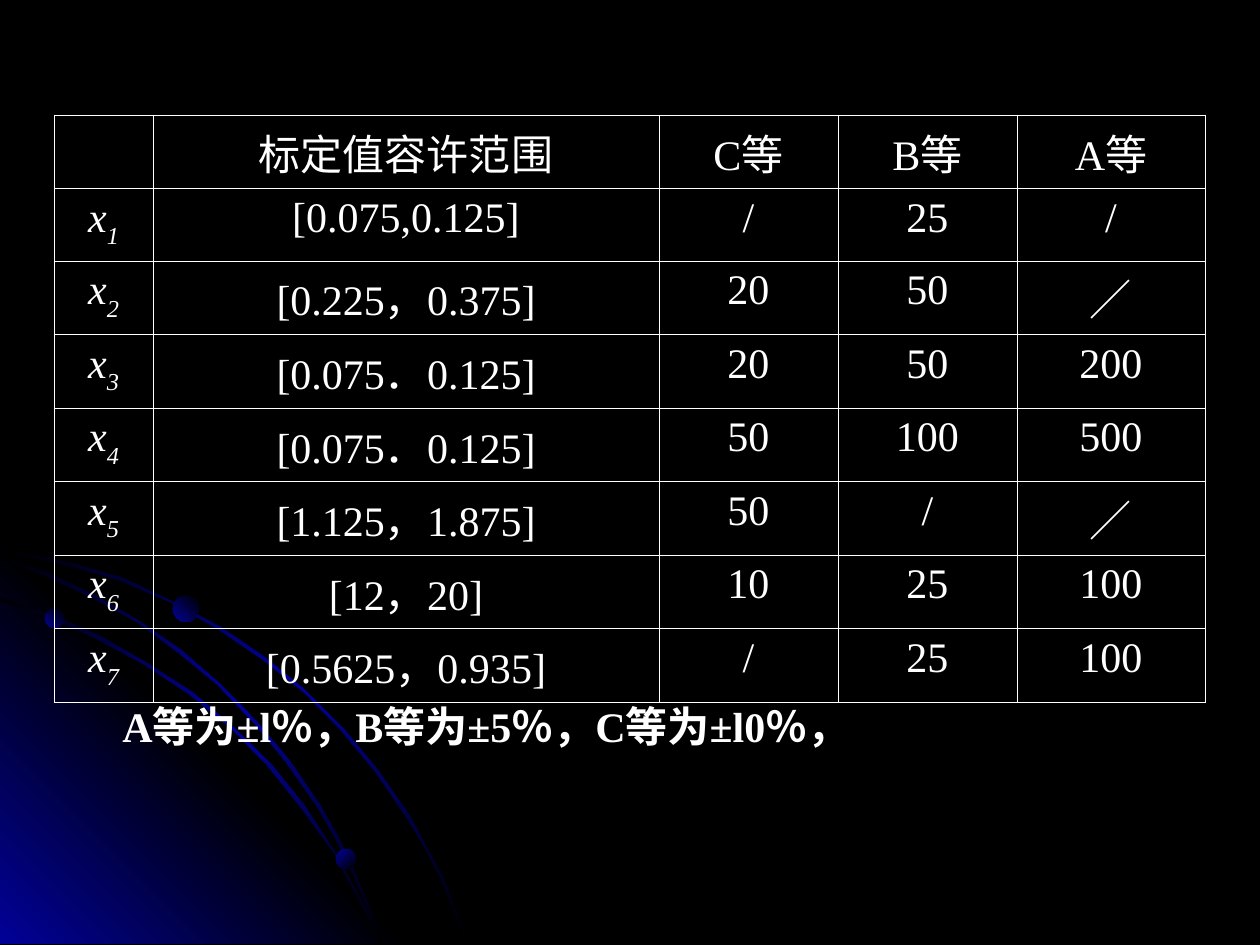
from dataclasses import dataclass

from lxml import etree
from pptx import Presentation
from pptx.dml.color import RGBColor
from pptx.enum.shapes import MSO_SHAPE
from pptx.enum.text import MSO_ANCHOR, MSO_AUTO_SIZE, PP_ALIGN
from pptx.oxml.ns import qn
from pptx.util import Emu, Pt

OVAL = MSO_SHAPE.OVAL
MIDDLE = MSO_ANCHOR.MIDDLE
FIT_SHAPE = MSO_AUTO_SIZE.SHAPE_TO_FIT_TEXT
LEFT, CENTER = PP_ALIGN.LEFT, PP_ALIGN.CENTER
EMU_PER_PX = 914400 / 126


@dataclass
class Theme:
    font: str = "Times New Roman"
    size: int = 24
    ink: str = "FFFFFF"
    dark: str = "000000"
    glow: str = "010199"
    border: float = 0.45


def px(length):
    return Emu(round(length * EMU_PER_PX))


class SlideBuilder:
    def __init__(self, slide, theme):
        self.slide = slide
        self.theme = theme

    def background(self):
        fill = self.slide.background.fill
        fill.solid()
        fill.fore_color.rgb = RGBColor.from_string(self.theme.dark)

    def gradient(self, shape, colors, angle):
        shape.shadow.inherit = False
        shape.line.fill.background()
        shape.fill.gradient()
        grad = shape.fill._xPr.find(qn("a:gradFill"))
        stops = grad.find(qn("a:gsLst"))
        for stop in list(stops):
            stops.remove(stop)
        for index, color in enumerate(colors):
            position = 100000 * index // (len(colors) - 1)
            stop = etree.SubElement(stops, qn("a:gs"), pos=str(position))
            etree.SubElement(stop, qn("a:srgbClr"), val=color)
        grad.find(qn("a:lin")).set("ang", str(angle * 60000))

    def outline(self, points, colors, angle):
        builder = self.slide.shapes.build_freeform(*points[0], scale=EMU_PER_PX)
        builder.add_line_segments(points[1:], close=True)
        self.gradient(builder.convert_to_shape(), colors, angle)

    def ball(self, left, top, size, angle):
        shape = self.slide.shapes.add_shape(OVAL, px(left), px(top), px(size), px(size))
        self.gradient(shape, (self.theme.glow, self.theme.dark), angle)

    def style(self, para, align, bold=False):
        para.alignment = align
        for span in para.runs:
            span.font.name = self.theme.font
            span.font.size = Pt(self.theme.size)
            span.font.bold = bold
            span.font.color.rgb = RGBColor.from_string(self.theme.ink)

    def cell_borders(self, cell):
        props = cell._tc.get_or_add_tcPr()
        for index, side in enumerate(("a:lnL", "a:lnR", "a:lnT", "a:lnB")):
            line = etree.Element(qn(side), w=str(Pt(self.theme.border)))
            fill = etree.SubElement(line, qn("a:solidFill"))
            etree.SubElement(fill, qn("a:srgbClr"), val=self.theme.ink)
            props.insert(index, line)

    def table(self, left, top, widths, heights, rows):
        frame = self.slide.shapes.add_table(
            len(rows), len(widths), px(left), px(top), px(sum(widths)), px(sum(heights)))
        table = frame.table
        table.first_row = table.horz_banding = False
        for column, width in zip(table.columns, widths):
            column.width = px(width)
        for row, height in zip(table.rows, heights):
            row.height = px(height)
        for row, texts in zip(table.rows, rows):
            for cell, text in zip(row.cells, texts):
                cell.fill.background()
                self.cell_borders(cell)
                cell.text_frame.text = text
                self.style(cell.text_frame.paragraphs[0], CENTER)
        return table

    def variable(self, cell, name, index):
        para = cell.text_frame.paragraphs[0]
        para.text = name
        para.add_run().text = str(index)
        self.style(para, CENTER)
        for span in para.runs:
            span.font.italic = True
        para.runs[1].font._element.set("baseline", "-30000")

    def caption(self, left, top, width, height, text):
        box = self.slide.shapes.add_textbox(px(left), px(top), px(width), px(height))
        frame = box.text_frame
        frame.word_wrap = False
        frame.auto_size = FIT_SHAPE
        frame.vertical_anchor = MIDDLE
        frame.text = text
        self.style(frame.paragraphs[0], LEFT, bold=True)


OUTER_ARC = [
    (72, 563), (35, 556), (0, 548), (0, 552), (35, 558), (71, 566), (122, 581),
    (170, 602), (218, 629), (262, 659), (304, 692), (341, 730), (375, 771),
    (407, 818), (425, 848), (441, 879), (454, 911), (466, 944), (469, 944),
    (456, 911), (444, 879), (427, 848), (410, 816), (378, 770), (343, 728),
    (305, 690), (263, 656), (219, 626), (171, 601), (123, 578)]
CORNER = [(405, 944), (0, 944), (0, 538)]
INNER_ARC = [
    (359, 900), (370, 922), (379, 944), (382, 944), (373, 920), (360, 897),
    (335, 852), (305, 806), (271, 764), (232, 726), (192, 692), (147, 663),
    (100, 636), (52, 615), (0, 598), (0, 601), (49, 617), (97, 639), (145, 665),
    (189, 694), (231, 728), (268, 766), (302, 809), (334, 853)]
MIDDLE_ARC = [
    (0, 557), (0, 559), (45, 576), (93, 598), (137, 622), (179, 653), (218, 685),
    (255, 724), (286, 762), (318, 808), (336, 840), (353, 874), (368, 910),
    (379, 944), (382, 944), (370, 907), (355, 873), (339, 838), (320, 805),
    (289, 760), (257, 722), (220, 684), (181, 650), (139, 621), (96, 596), (49, 573)]
BALLS = [(45, 609, 19, 315), (336, 849, 20, 45), (173, 596, 26, 315)]

ROWS = [
    ("", "标定值容许范围", "C等", "B等", "A等"),
    ("", "[0.075,0.125]", "/", "25", "/"),
    ("", "[0.225，0.375]", "20", "50", "／"),
    ("", "[0.075．0.125]", "20", "50", "200"),
    ("", "[0.075．0.125]", "50", "100", "500"),
    ("", "[1.125，1.875]", "50", "/", "／"),
    ("", "[12，20]", "10", "25", "100"),
    ("", "[0.5625，0.935]", "/", "25", "100"),
]
COLUMN_WIDTHS = [99, 506, 179, 179, 188]
HEADER_HEIGHT, BODY_HEIGHT = 63, 507


def main():
    deck = Presentation()
    deck.slide_width, deck.slide_height = px(1260), px(945)
    theme = Theme()
    page = SlideBuilder(deck.slides.add_slide(deck.slide_layouts[6]), theme)
    page.background()

    streak = (theme.dark, theme.glow, theme.dark)
    page.outline(OUTER_ARC, streak, 45)
    page.outline(CORNER, (theme.glow, theme.dark, theme.glow), 315)
    page.outline(INNER_ARC, streak, 45)
    page.outline(MIDDLE_ARC, streak, 45)
    for ball in BALLS:
        page.ball(*ball)

    body_rows = len(ROWS) - 1
    heights = [HEADER_HEIGHT] + [BODY_HEIGHT / body_rows] * body_rows
    table = page.table(54, 115, COLUMN_WIDTHS, heights, ROWS)
    for index in range(1, len(ROWS)):
        page.variable(table.cell(index, 0), "x", index)

    page.caption(110, 694, 872, 63, "A等为±l％，B等为±5％，C等为±l0％，")
    deck.save("out.pptx")


if __name__ == "__main__":
    main()
